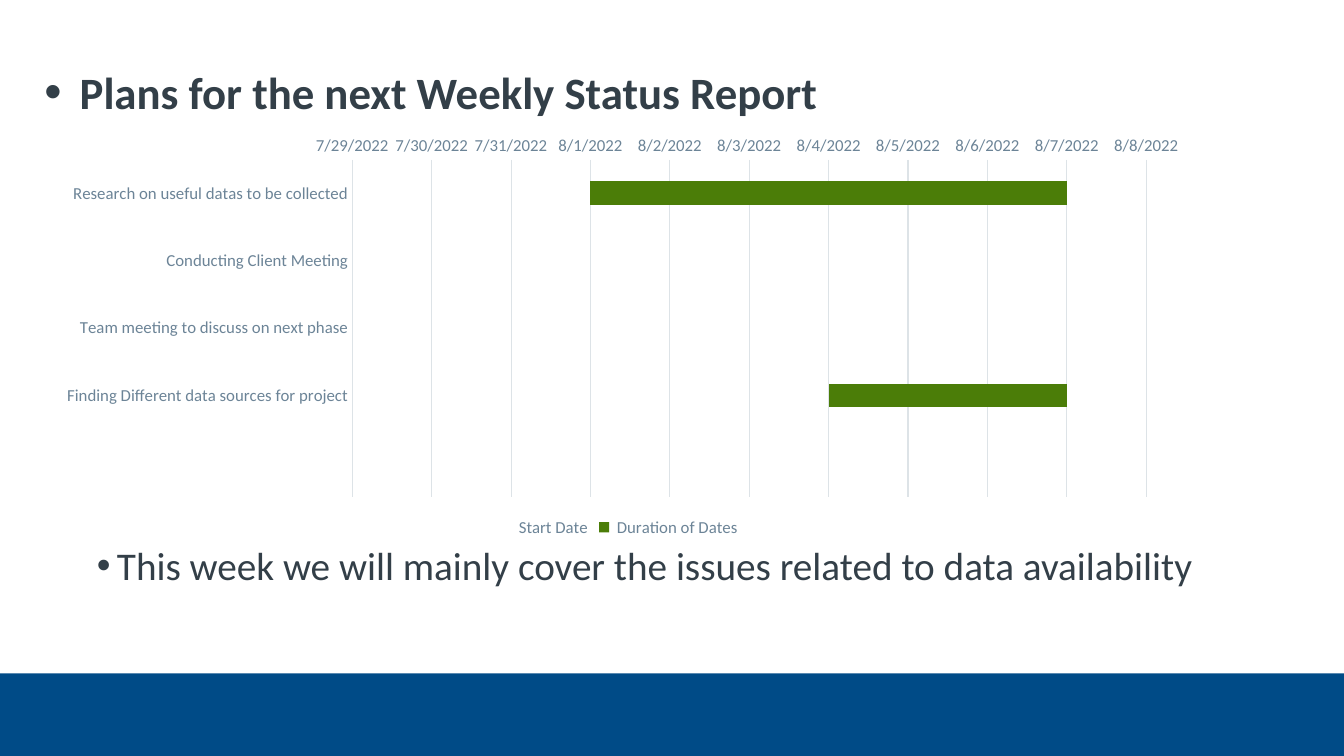
from lxml import etree
from pptx import Presentation
from pptx.chart.data import CategoryChartData
from pptx.dml.color import RGBColor
from pptx.enum.chart import XL_CHART_TYPE, XL_LEGEND_POSITION, XL_TICK_MARK
from pptx.enum.shapes import MSO_SHAPE
from pptx.enum.text import MSO_ANCHOR, MSO_AUTO_SIZE, PP_ALIGN
from pptx.oxml.ns import qn
from pptx.util import Inches, Pt

COLORS = {"band": "004B87", "text": "333F48", "label": "6C8497",
          "grid": "DDE3E7", "bar": "4B7D08"}
FONT = "Calibri"
AXIS_START, AXIS_END = 44771, 44781  # 7/29/2022 to 8/8/2022 as day serials
TASKS = [
    ("Research on useful datas to be collected", 44774, 6),
    ("Conducting Client Meeting", 44779, 0),
    ("Team meeting to discuss on next phase", 44779, 0),
    ("Finding Different data sources for project", 44777, 3),
    ("", None, None),
]


def rgb(name):
    return RGBColor.from_string(COLORS[name])


def style_font(font, size, color, bold=False):
    font.name = FONT
    font.size = Pt(size)
    font.bold = bold
    font.color.rgb = rgb(color)


def style_line(line, color):
    line.color.rgb = rgb(color)
    line.width = Pt(0.75)


def set_bullet(p, indent, percent):
    pPr = p._p.get_or_add_pPr()
    pPr.set("marL", str(Inches(indent)))
    pPr.set("indent", str(-Inches(indent)))
    for tag, attr, value in (("a:buSzPct", "val", str(percent * 1000)),
                             ("a:buFont", "typeface", "Arial"),
                             ("a:buChar", "char", "•")):
        etree.SubElement(pPr, qn(tag)).set(attr, value)


def fill_placeholder(sp, text, box, size, indent, bold=False, before=0, bullet_percent=100):
    sp.left, sp.top, sp.width, sp.height = (Inches(v) for v in box)
    tf = sp.text_frame
    tf.margin_left = tf.margin_top = tf.margin_right = tf.margin_bottom = 0
    tf.word_wrap = True
    tf.auto_size = MSO_AUTO_SIZE.NONE
    tf.vertical_anchor = MSO_ANCHOR.TOP
    p = tf.paragraphs[0]
    p.alignment = PP_ALIGN.LEFT
    p.space_before = Pt(before)
    set_bullet(p, indent, bullet_percent)
    r = p.add_run()
    r.text = text
    style_font(r.font, size, "text", bold)


def add_band(s):
    sp = s.shapes.add_shape(MSO_SHAPE.RECTANGLE, 0, Inches(6.68), Inches(13.33), Inches(0.82))
    sp.shadow.inherit = False
    sp.fill.solid()
    sp.fill.fore_color.rgb = rgb("band")
    sp.line.fill.background()


def set_plot_layout(chart, **fractions):
    """Fix the inner plot area, in fractions of the chart's size."""
    plot_area = chart._chartSpace.chart.plotArea
    for old in plot_area.findall(qn("c:layout")):
        plot_area.remove(old)
    layout = etree.Element(qn("c:layout"))
    plot_area.insert(0, layout)
    manual = etree.SubElement(layout, qn("c:manualLayout"))
    settings = {"layoutTarget": "inner", "xMode": "edge", "yMode": "edge", **fractions}
    for name, value in settings.items():
        etree.SubElement(manual, qn("c:" + name)).set("val", str(value))


def add_gantt(s):
    names, starts, durations = zip(*TASKS)
    data = CategoryChartData()
    data.categories = names
    data.add_series("Start Date", starts, "m/d/yyyy")
    data.add_series(" Duration of Dates ", durations, "0")
    chart = s.shapes.add_chart(XL_CHART_TYPE.BAR_STACKED, Inches(0.44), Inches(1.27),
                               Inches(11.48), Inches(4.1), data).chart
    chart.has_title = False
    style_font(chart.font, 10, "text")
    set_plot_layout(chart, x=0.266, y=0.077, w=0.686, h=0.815)

    plot = chart.plots[0]
    plot.gap_width = 182
    plot.overlap = 100
    plot.vary_by_categories = False
    start, duration = plot.series
    start.format.fill.background()
    start.format.line.fill.background()
    duration.format.fill.solid()
    duration.format.fill.fore_color.rgb = rgb("bar")

    tasks, dates = chart.category_axis, chart.value_axis
    for axis in (tasks, dates):
        axis.major_tick_mark = axis.minor_tick_mark = XL_TICK_MARK.NONE
        style_font(axis.tick_labels.font, 12, "label")
    tasks.reverse_order = True
    style_line(tasks.format.line, "grid")
    dates.minimum_scale, dates.maximum_scale = AXIS_START, AXIS_END
    dates.major_unit = 1
    dates.tick_labels.number_format = "m/d/yyyy"
    dates.tick_labels.number_format_is_linked = False
    dates.format.line.fill.background()
    style_line(dates.major_gridlines.format.line, "grid")

    chart.has_legend = True
    chart.legend.position = XL_LEGEND_POSITION.BOTTOM
    chart.legend.include_in_layout = False
    style_font(chart.legend.font, 12, "label")


def main():
    prs = Presentation()
    prs.slide_width, prs.slide_height = Inches(13.33), Inches(7.5)
    s = prs.slides.add_slide(prs.slide_layouts[1])
    add_band(s)
    fill_placeholder(s.shapes.title, "Plans for the next Weekly Status Report",
                     (0.44, 0.64, 11.99, 0.82), 32, 0.35, bold=True, bullet_percent=110)
    fill_placeholder(s.placeholders[1],
                     "This week we will mainly cover the issues related to data availability",
                     (0.96, 5.37, 11.48, 1.15), 28, 0.2, before=5.6)
    add_gantt(s)
    prs.save("out.pptx")


if __name__ == "__main__":
    main()
